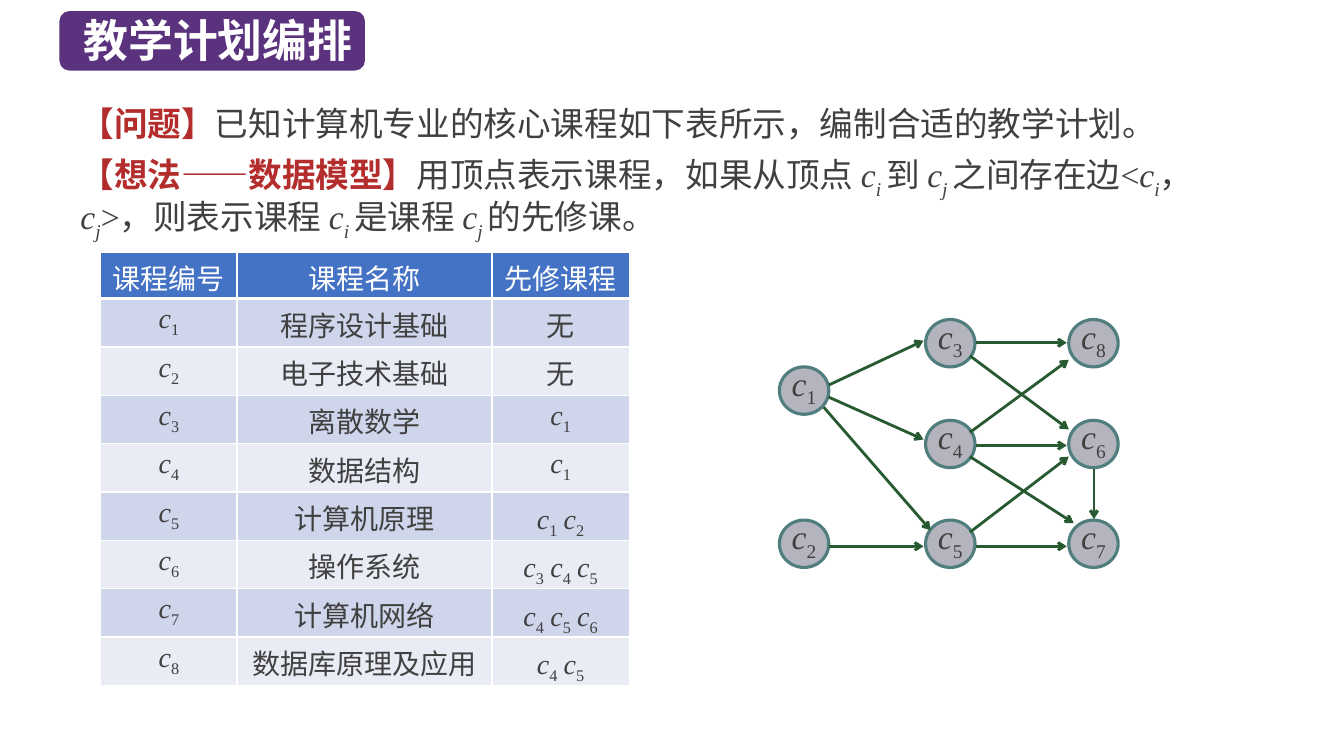
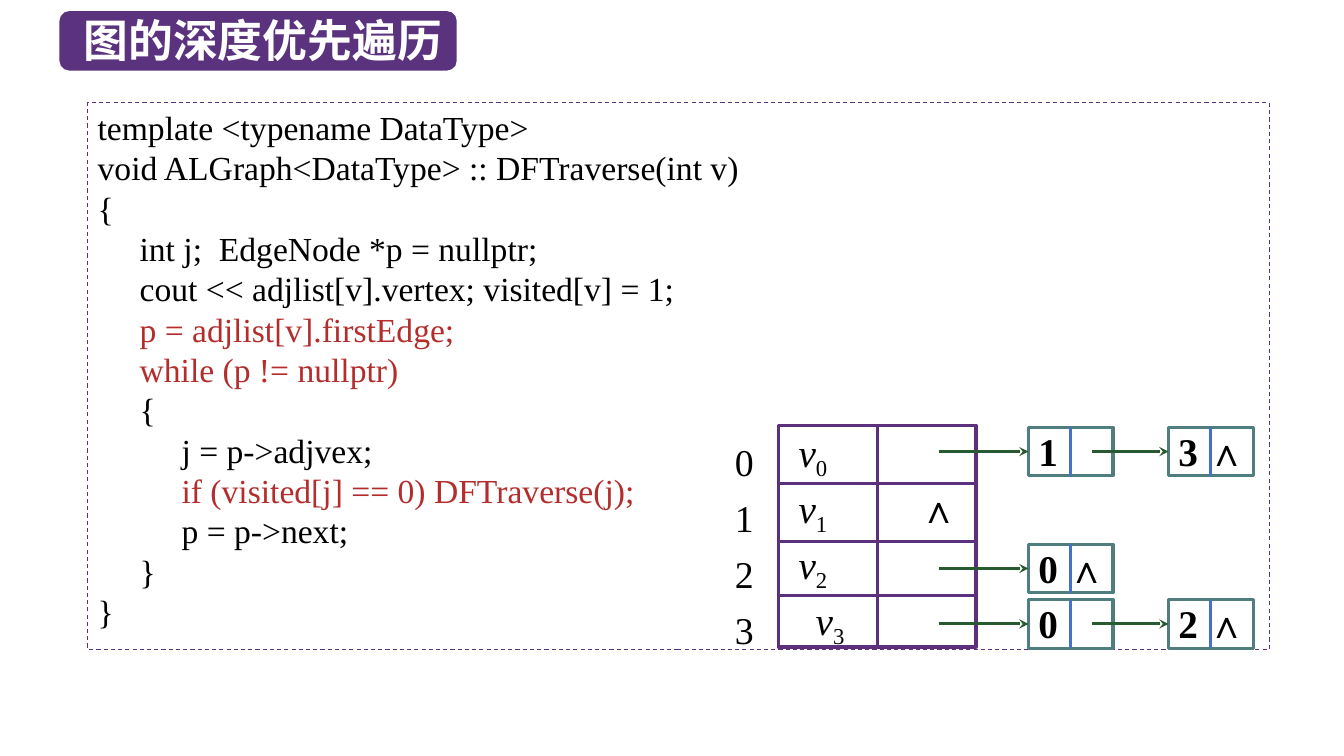
from lxml import etree
from pptx import Presentation
from pptx.dml.color import RGBColor
from pptx.enum.dml import MSO_LINE
from pptx.enum.shapes import MSO_CONNECTOR, MSO_SHAPE
from pptx.enum.text import MSO_ANCHOR, PP_ALIGN
from pptx.oxml.ns import qn
from pptx.util import Emu, Pt

PX = 9144
STRAIGHT = MSO_CONNECTOR.STRAIGHT
RECT, ROUND, OVAL = MSO_SHAPE.RECTANGLE, MSO_SHAPE.ROUNDED_RECTANGLE, MSO_SHAPE.OVAL
TOP, MIDDLE = MSO_ANCHOR.TOP, MSO_ANCHOR.MIDDLE
LEFT, CENTER = PP_ALIGN.LEFT, PP_ALIGN.CENTER
DASH = MSO_LINE.DASH
SERIF, SANS = "Times New Roman", "Noto Sans CJK SC"
COLORS = {
    "title": "5A327D", "frame": "5C307D", "red": "B42D2D", "text": "404040",
    "black": "000000", "white": "FFFFFF", "blue": "4472C4", "band": "CFD5EA",
    "pale": "E9EBF5", "vertex": "B4B4BE", "teal": "507D7D", "green": "285A32",
}

COURSES = [
    ("程序设计基础", []), ("电子技术基础", []), ("离散数学", [1]), ("数据结构", [1]),
    ("计算机原理", [1, 2]), ("操作系统", [3, 4, 5]), ("计算机网络", [4, 5, 6]),
    ("数据库原理及应用", [4, 5]),
]
VERTICES = {
    1: (25, 71), 2: (25, 223), 3: (170, 24), 4: (170, 124),
    5: (170, 223), 6: (312, 124), 7: (312, 223), 8: (312, 24),
}
EDGES = [
    (1, 3, (24, -6), (-27, -3)), (1, 4, (24, 6), (-27, -5)), (1, 5, (19, 16), (-20, -14)),
    (2, 5, (24, 2), (-27, 2)), (3, 8, (25, -1), (-27, -1)), (3, 6, (19, 12), (-25, -15)),
    (4, 6, (25, 1), (-27, 1)), (4, 7, (19, 12), (-20, -21)), (4, 8, (19, -12), (-25, 16)),
    (5, 6, (19, -12), (-25, 12)), (5, 7, (25, 2), (-27, 2)), (6, 7, (0, 24), (0, -25)),
]
CODE = [
    ("template <typename DataType>", "black"),
    ("void ALGraph<DataType> :: DFTraverse(int v)", "black"),
    ("{", "black"),
    ("     int j;  EdgeNode *p = nullptr;", "black"),
    ("     cout << adjlist[v].vertex; visited[v] = 1;", "black"),
    ("     p = adjlist[v].firstEdge;", "red"),
    ("     while (p != nullptr)", "red"),
    ("     {", "black"),
    ("          j = p->adjvex;", "black"),
    ("          if (visited[j] == 0) DFTraverse(j);", "red"),
    ("          p = p->next;", "black"),
    ("     }", "black"),
    ("}", "black"),
]


def px(value):
    return Emu(round(value * PX))


def color(name):
    return RGBColor.from_string(COLORS[name])


def add_span(para, text, size, tint, name=SERIF, bold=False, italic=False, lowered=False):
    span = para.add_run()
    span.text = text
    font = span.font
    font.size, font.bold, font.italic, font.name = Pt(size), bold, italic, name
    font.color.rgb = color(tint)
    props = span._r.get_or_add_rPr()
    etree.SubElement(props, qn("a:ea")).set("typeface", SANS)
    if lowered:
        props.set("baseline", "-25000")


def add_spans(para, pieces, size, tint, name=SERIF):
    for piece in pieces:
        if isinstance(piece, str):
            add_span(para, piece, size, tint, name)
        else:
            letter, index = piece
            add_span(para, letter, size, tint, italic=True)
            add_span(para, index, size, tint, italic=index.strip().isalpha(), lowered=True)


def set_frame(frame, insets, anchor=TOP):
    frame.word_wrap = True
    frame.vertical_anchor = anchor
    frame.margin_left, frame.margin_top, frame.margin_right, frame.margin_bottom = map(px, insets)
    return frame


def add_paras(frame, count, align=LEFT, spacing=None):
    paras = [frame.paragraphs[0]] + [frame.add_paragraph() for _ in range(count - 1)]
    for para in paras:
        para.alignment = align
        if spacing:
            para.line_spacing = Pt(spacing) if spacing > 5 else spacing
    return paras


def add_text(page, box, insets=(10, 5, 10, 5)):
    return set_frame(page.shapes.add_textbox(*map(px, box)).text_frame, insets)


def add_box(page, kind, box, fill=None, line=None, width=2.25):
    shape = page.shapes.add_shape(kind, *map(px, box))
    shape.shadow.inherit = False
    if fill:
        shape.fill.solid()
        shape.fill.fore_color.rgb = color(fill)
    else:
        shape.fill.background()
    if line:
        shape.line.color.rgb = color(line)
        shape.line.width = Pt(width)
    else:
        shape.line.fill.background()
    return shape


def add_line(page, start, end, tint, width=2.25, head=None):
    line = page.shapes.add_connector(STRAIGHT, *map(px, (*start, *end)))
    line.line.color.rgb = color(tint)
    line.line.width = Pt(width)
    if head:
        etree.SubElement(line.line._get_or_add_ln(), qn("a:tailEnd")).set("type", head)
    etree.SubElement(line._element.spPr, qn("a:effectLst"))
    return line


def add_page(deck, title, width):
    page = deck.slides.add_slide(deck.slide_layouts[6])
    pill = add_box(page, ROUND, (59, 11, width, 59), fill="title")
    frame = set_frame(pill.text_frame, (21, 0, 0, 3), MIDDLE)
    para, = add_paras(frame, 1)
    add_span(para, title, 32, "white", SANS, bold=True)
    return page


def add_statement(page, box, label, pieces, spacing=None):
    para, = add_paras(add_text(page, box), 1, spacing=spacing)
    add_span(para, label, 24, "red", bold=True)
    add_spans(para, pieces, 24, "text")


def fill_cell(cell, pieces, fill, tint, bottom):
    props = cell._tc.get_or_add_tcPr()
    for side, width in (("L", 1), ("R", 1), ("T", 1), ("B", bottom)):
        edge = etree.SubElement(props, qn("a:ln" + side), w=str(Pt(width)))
        paint = etree.SubElement(edge, qn("a:solidFill"))
        etree.SubElement(paint, qn("a:srgbClr"), val=COLORS["white"])
    cell.fill.solid()
    cell.fill.fore_color.rgb = color(fill)
    para, = add_paras(cell.text_frame, 1, CENTER)
    add_spans(para, pieces, 20, tint, SANS)


def add_course_table(page, box):
    rows = [[["课程编号"], ["课程名称"], ["先修课程"]]]
    for number, (name, needed) in enumerate(COURSES, 1):
        before = []
        for index in needed:
            before += [" "] * bool(before) + [("c", str(index))]
        rows.append([[("c", str(number))], [name], before or ["无"]])
    table = page.shapes.add_table(len(rows), 3, *map(px, box)).table
    for column, width in zip(table.columns, (135, 253, 136)):
        column.width = px(width)
    for r, row in enumerate(rows):
        fill = "blue" if r == 0 else "band" if r % 2 else "pale"
        for c, pieces in enumerate(row):
            fill_cell(table.cell(r, c), pieces, fill,
                      "text" if r else "white", 1 if r else 3)


def add_course_graph(page, left, top):
    for number, (x, y) in VERTICES.items():
        oval = add_box(page, OVAL, (left + x - 25, top + y - 24, 49, 47), "vertex", "teal")
        frame = set_frame(oval.text_frame, (0, 0, 0, 0), MIDDLE)
        para, = add_paras(frame, 1, CENTER, 26)
        add_spans(para, [("c", str(number))], 24, "text")
    for source, target, leave, reach in EDGES:
        ends = [(left + VERTICES[v][0] + dx, top + VERTICES[v][1] + dy)
                for v, (dx, dy) in ((source, leave), (target, reach))]
        add_line(page, *ends, "green", 2, "arrow")


def add_code(page, box):
    panel = add_box(page, RECT, box, line="frame", width=0.75)
    panel.line.dash_style = DASH
    frame = set_frame(panel.text_frame, (10, 4, 10, 0))
    for para, (text, tint) in zip(add_paras(frame, len(CODE), spacing=28.8), CODE):
        add_span(para, text, 24, tint)


def add_edge_node(page, left, top, label, tail_x):
    node = add_box(page, RECT, (left, top, 84, 48), line="teal")
    para, = add_paras(set_frame(node.text_frame, (10, 0, 0, 0)), 1)
    add_span(para, label, 28, "black", bold=True)
    divider = add_line(page, (left + 42, top), (left + 42, top + 48), "blue")
    divider.begin_connect(node, 0)
    divider.end_connect(node, 2)
    arrow = add_line(page, (tail_x, top + 24), (left, top + 24), "green", head="stealth")
    arrow.end_connect(node, 1)


def add_adjacency_list(page, left, top):
    digits = add_text(page, (left, top + 3, 43, 196), (0, 0, 0, 0))
    for number, para in enumerate(add_paras(digits, 4, spacing=40)):
        add_span(para, str(number), 27, "black")
    columns = [add_box(page, RECT, (left + x, top, 98, 220), line="frame") for x in (43, 141)]
    names = set_frame(columns[0].text_frame, (20, 0, 0, 0))
    for number, para in enumerate(add_paras(names, 4, spacing=40)):
        if number == 3:
            para._p.get_or_add_pPr().set("marL", str(px(17)))
        add_spans(para, [("v", str(number))], 28, "black")
    for y in (58, 115, 169):
        add_line(page, (left + 43, top + y), (left + 239, top + y), "frame")
    para, = add_paras(add_text(page, (left + 173, top + 64, 57, 42), (10, 0, 10, 0)), 1, spacing=0.9)
    add_span(para, "∧", 28, "black", bold=True)
    for y, labels in ((2, ("1", "3 ∧")), (118, ("0 ∧",)), (173, ("0", "2 ∧"))):
        for place, label in enumerate(labels):
            node_left = left + 291 + 139 * place
            add_edge_node(page, node_left, top + y, label, node_left - (76 if place else 89))


def build_course_page(deck):
    page = add_page(deck, "教学计划编排", 303)
    add_statement(page, (70, 97, 1184, 50), "【问题】",
                  ["已知计算机专业的核心课程如下表所示，编制合适的教学计划。"])
    add_statement(page, (70, 152, 1180, 91), "【想法——数据模型】", [
        "用顶点表示课程，如果从顶点 ", ("c", "i "), "到 ", ("c", "j "), "之间存在边<",
        ("c", "i"), "，", ("c", "j"), ">，则表示课程 ", ("c", "i "), "是课程 ",
        ("c", "j "), "的先修课。"], 30)
    add_course_table(page, (100, 250, 524, 416))
    add_course_graph(page, 773, 317)


def build_traversal_page(deck):
    page = add_page(deck, "图的深度优先遍历", 394)
    add_code(page, (87, 102, 1172, 542))
    add_adjacency_list(page, 729, 422)


def main():
    deck = Presentation()
    deck.slide_width, deck.slide_height = px(1333), px(750)
    build_course_page(deck)
    build_traversal_page(deck)
    deck.save("out.pptx")


if __name__ == "__main__":
    main()
